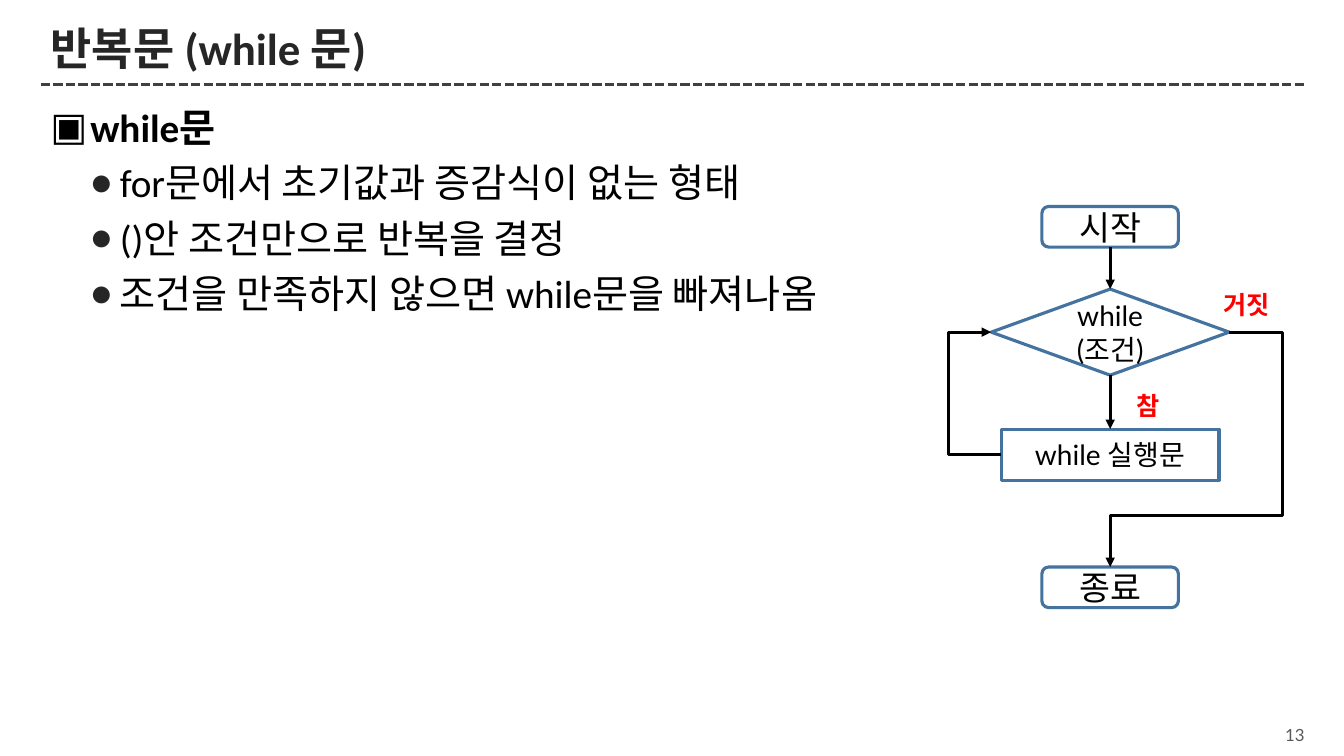
from dataclasses import dataclass

from lxml import etree
from pptx import Presentation
from pptx.dml.color import RGBColor
from pptx.enum import dml, shapes, text
from pptx.oxml import ns
from pptx.util import Pt


@dataclass(frozen=True)
class Theme:
    heading_font: str = "Calibri"
    flow_font: str = "Lato"
    ink: str = "000000"
    heading: str = "262626"
    rule: str = "404040"
    page: str = "595959"
    outline: str = "43739E"
    branch: str = "FF0000"
    title_size: float = 32
    body_size: float = 28
    terminal_size: float = 24
    step_size: float = 20
    branch_size: float = 18
    page_size: float = 12
    stroke: float = 2.25


THEME = Theme()
AXIS = 793


def style(paragraph, font, size, color, bold=False):
    for run in paragraph.runs:
        run.font.name = font
        run.font.size = Pt(size)
        run.font.bold = bold
        run.font.color.rgb = RGBColor.from_string(color)


def add_label(slide, wording, box, size, color, align, bold=False):
    label = slide.shapes.add_textbox(*map(Pt, box))
    frame = label.text_frame
    frame.word_wrap = True
    frame.text = wording
    frame.paragraphs[0].alignment = align
    style(frame.paragraphs[0], THEME.flow_font, size, color, bold)
    return frame


def add_step(slide, preset, wording, top, width, height, size):
    step = slide.shapes.add_shape(
        preset, Pt(AXIS - width / 2), Pt(top), Pt(width), Pt(height))
    step.shadow.inherit = False
    step.fill.background()
    step.line.color.rgb = RGBColor.from_string(THEME.outline)
    step.line.width = Pt(THEME.stroke)
    frame = step.text_frame
    frame.word_wrap = True
    frame.vertical_anchor = text.MSO_ANCHOR.MIDDLE
    frame.text = wording
    frame.paragraphs[0].alignment = text.PP_ALIGN.CENTER
    style(frame.paragraphs[0], THEME.flow_font, size, THEME.ink)
    return step


def add_line(slide, kind, color, start=(0, 0), end=(0, 0)):
    line = slide.shapes.add_connector(kind, *map(Pt, start + end))
    line.line.color.rgb = RGBColor.from_string(color)
    line.line.width = Pt(THEME.stroke)
    etree.SubElement(line._element.spPr, ns.qn("a:effectLst"))
    return line


def add_arrow(slide, source, source_site, target, target_site,
              kind=shapes.MSO_CONNECTOR.STRAIGHT):
    arrow = add_line(slide, kind, THEME.ink)
    arrow.begin_connect(source, source_site)
    arrow.end_connect(target, target_site)
    etree.SubElement(arrow.line._get_or_add_ln(), ns.qn("a:tailEnd"), type="triangle")
    return arrow


def add_detour(slide, source, source_site, target, target_site, side, level=None):
    detour = add_arrow(slide, source, source_site, target, target_site,
                       shapes.MSO_CONNECTOR.ELBOW)
    bends = [(Pt(side) - detour.begin_x) / (detour.end_x - detour.begin_x)]
    if level is not None:
        bends.append((Pt(level) - detour.begin_y) / (detour.end_y - detour.begin_y))
    geometry = detour._element.spPr.find(ns.qn("a:prstGeom"))
    geometry.set("prst", f"bentConnector{len(bends) + 2}")
    guides = geometry.find(ns.qn("a:avLst"))
    if guides is None:
        guides = etree.SubElement(geometry, ns.qn("a:avLst"))
    for number, bend in enumerate(bends, 1):
        etree.SubElement(guides, ns.qn("a:gd"), name=f"adj{number}",
                         fmla=f"val {round(bend * 100000)}")


def add_bullet(paragraph, mark, color, margin, hanging):
    properties = paragraph._p.get_or_add_pPr()
    properties.set("marL", str(Pt(margin)))
    properties.set("indent", str(-Pt(hanging)))
    tint = etree.SubElement(properties, ns.qn("a:buClr"))
    etree.SubElement(tint, ns.qn("a:srgbClr"), val=color)
    etree.SubElement(properties, ns.qn("a:buFont"), typeface="Arial")
    etree.SubElement(properties, ns.qn("a:buChar"), char=mark)


def add_title(slide, wording):
    title = slide.shapes.title
    title.left, title.top, title.width, title.height = map(Pt, (29, 15, 904, 42.5))
    frame = title.text_frame
    frame.text = wording
    frame.vertical_anchor = text.MSO_ANCHOR.MIDDLE
    heading = frame.paragraphs[0]
    heading.alignment = text.PP_ALIGN.LEFT
    heading.line_spacing = 0.9
    style(heading, THEME.heading_font, THEME.title_size, THEME.heading, True)
    underline = add_line(slide, shapes.MSO_CONNECTOR.STRAIGHT, THEME.rule,
                         (29, 60.5), (933, 60.5))
    underline.line.dash_style = dml.MSO_LINE_DASH_STYLE.SQUARE_DOT


def add_summary(slide, topic, points):
    frame = slide.shapes.add_textbox(*map(Pt, (29, 70, 592.5, 442))).text_frame
    frame.word_wrap = True
    frame.text = "\n".join([topic, *points])
    for index, paragraph in enumerate(frame.paragraphs):
        paragraph.space_before = Pt(6)
        style(paragraph, THEME.heading_font, THEME.body_size, THEME.ink, index == 0)
        if index == 0:
            add_bullet(paragraph, "▣", THEME.ink, 28.5, 28.5)
        else:
            paragraph.level = 1
            add_bullet(paragraph, "●", THEME.heading, 49.5, 21.5)


def add_flowchart(slide):
    preset = shapes.MSO_SHAPE
    terminal = (97.5, 29, THEME.terminal_size)
    start = add_step(slide, preset.ROUNDED_RECTANGLE, "시작", 147.5, *terminal)
    condition = add_step(slide, preset.DIAMOND, "while\v(조건)", 206.5, 170, 61.5,
                         THEME.step_size)
    loop_body = add_step(slide, preset.RECTANGLE, "while 실행문", 306.5, 155.5, 36.5,
                         THEME.step_size)
    finish = add_step(slide, preset.ROUNDED_RECTANGLE, "종료", 405, *terminal)

    top, left, bottom, right = range(4)
    add_arrow(slide, start, bottom, condition, top)
    add_arrow(slide, condition, bottom, loop_body, top)
    add_detour(slide, loop_body, left, condition, left, 677.5)
    add_detour(slide, condition, right, finish, top, 916, 368)

    for wording, box in (("참", (798.5, 275, 43, 29)), ("거짓", (861, 203, 59, 29))):
        add_label(slide, wording, box, THEME.branch_size, THEME.branch,
                  text.PP_ALIGN.CENTER, True)


def main():
    deck = Presentation()
    deck.slide_width, deck.slide_height = Pt(960), Pt(540)
    slide = deck.slides.add_slide(deck.slide_layouts[5])
    add_title(slide, "반복문 (while 문)")
    add_summary(slide, "while문", (
        "for문에서 초기값과 증감식이 없는 형태",
        "()안 조건만으로 반복을 결정",
        "조건을 만족하지 않으면 while문을 빠져나옴",
    ))
    add_flowchart(slide)
    page = add_label(slide, "13", (903, 513.5, 36, 23), THEME.page_size, THEME.page,
                     text.PP_ALIGN.RIGHT)
    page.vertical_anchor = text.MSO_ANCHOR.MIDDLE
    deck.save("out.pptx")


if __name__ == "__main__":
    main()
